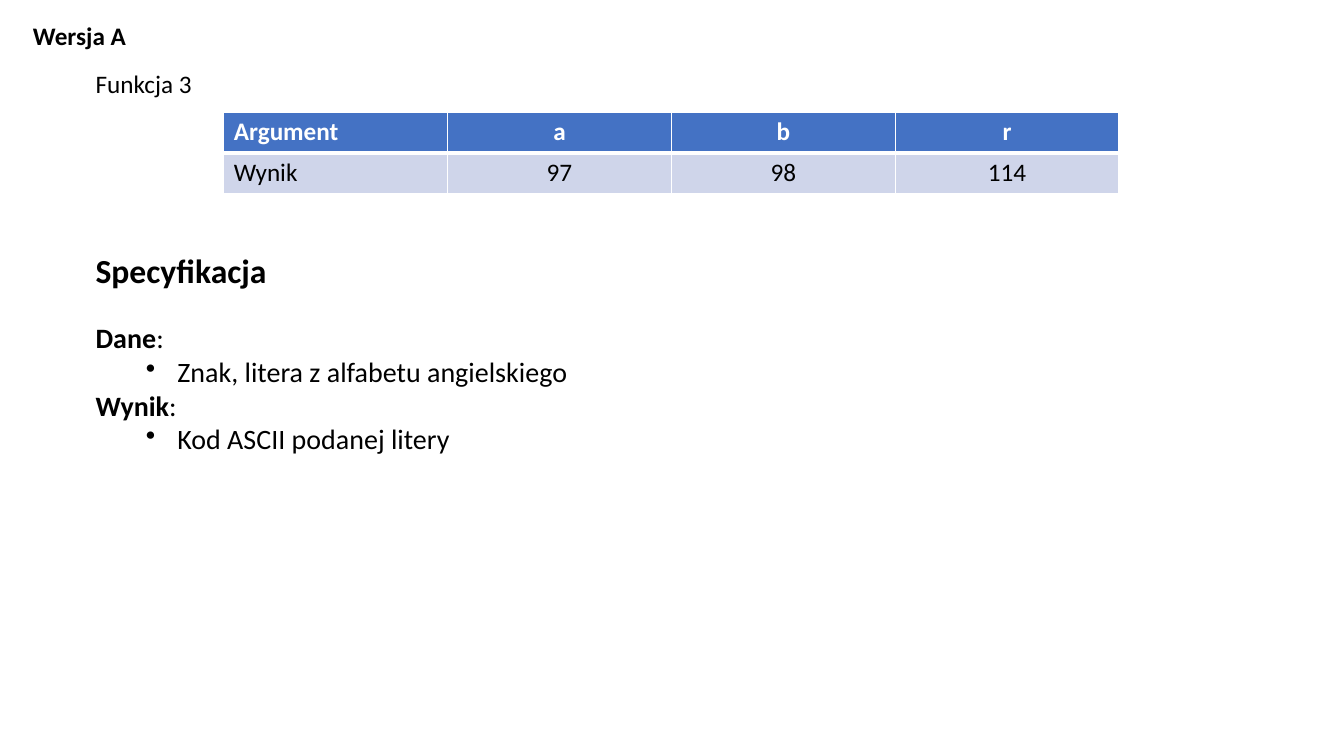
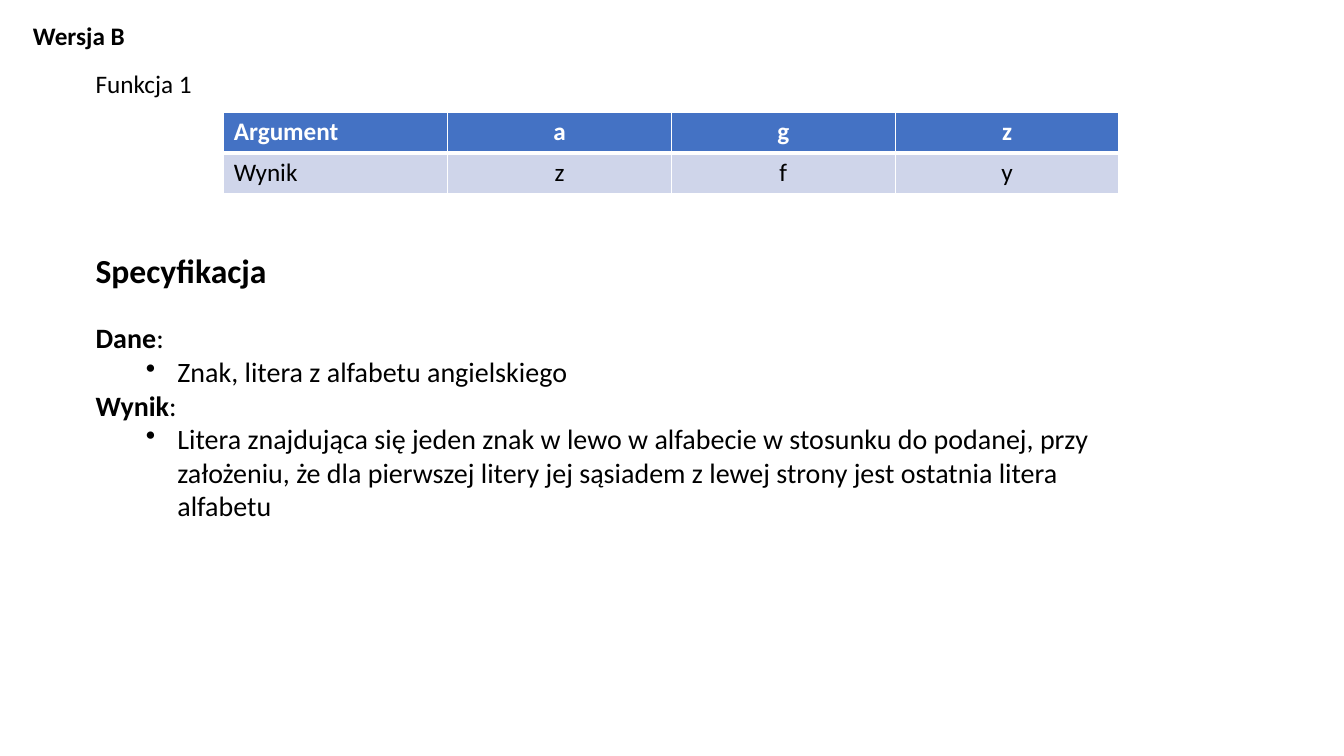
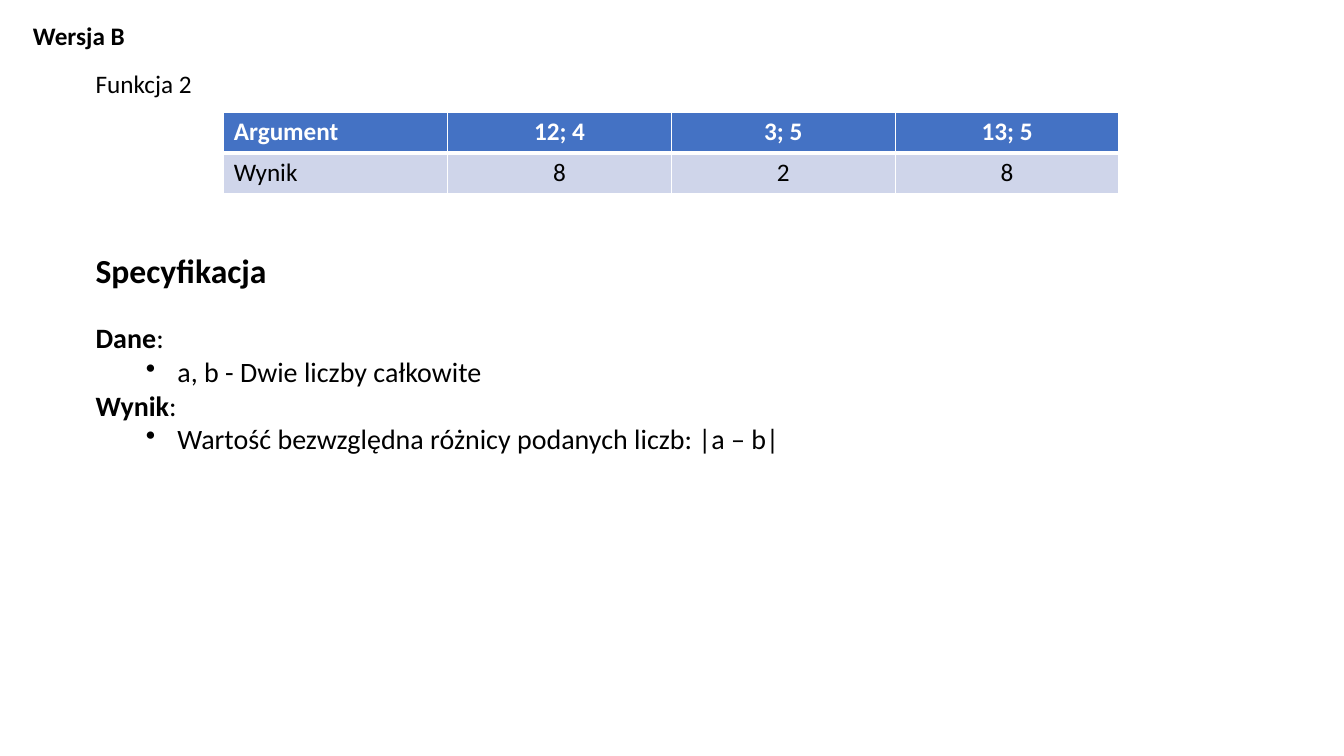
"""Build three slides that specify functions by example results, inputs and outputs."""
from dataclasses import dataclass

from lxml import etree
from pptx import Presentation
from pptx import util as u
from pptx.dml.color import RGBColor
from pptx.enum import text
from pptx.oxml.ns import qn

FONT = "Calibri"
COLORS = {"ink": "000000", "paper": "FFFFFF", "header": "4472C4", "band": "CFD5EA"}
LEFT = 2.16
COL_W = 5.64
ROW_H = 1.03


@dataclass(frozen=True)
class Box:
    left: float
    top: float
    width: float
    height: float

    def emu(self) -> tuple:
        return tuple(u.Cm(v) for v in (self.left, self.top, self.width, self.height))


@dataclass(frozen=True)
class Task:
    version: str
    number: int
    arguments: tuple
    results: tuple
    given: str
    result: str
    height: float = 5.46


TASKS = [
    Task("A", 3, ("a", "b", "r"), ("97", "98", "114"),
         "Znak, litera z alfabetu angielskiego", "Kod ASCII podanej litery"),
    Task("B", 1, ("a", "g", "z"), ("z", "f", "y"),
         "Znak, litera z alfabetu angielskiego",
         "Litera znajdująca się jeden znak w lewo w alfabecie w stosunku do podanej, "
         "przy założeniu, że dla pierwszej litery jej sąsiadem z lewej strony jest "
         "ostatnia litera alfabetu", 7.19),
    Task("B", 2, ("12; 4", "3; 5", "13; 5"), ("8", "2", "8"),
         "a, b - Dwie liczby całkowite",
         "Wartość bezwzględna różnicy podanych liczb: |a – b|"),
]


def write(p, content: str, *, size: float = 18, bold: bool = False, color: str = "ink") -> None:
    r = p.add_run()
    r.text = content
    r.font.name = FONT
    r.font.size = u.Pt(size)
    r.font.bold = bold
    r.font.color.rgb = RGBColor.from_string(COLORS[color])


def add_box(s, box: Box, wrap: bool = True):
    tf = s.shapes.add_textbox(*box.emu()).text_frame
    tf.word_wrap = wrap
    tf.auto_size = text.MSO_AUTO_SIZE.SHAPE_TO_FIT_TEXT
    return tf


def add_bullet(tf, content: str) -> None:
    p = tf.add_paragraph()
    p.level = 1
    pPr = p._p.get_or_add_pPr()
    pPr.set("marL", str(u.Cm(2.06)))
    pPr.set("indent", str(-u.Cm(0.79)))
    etree.SubElement(pPr, qn("a:buChar")).set("char", "•")
    write(p, content, size=20)


def add_borders(cell, top: float, bottom: float) -> None:
    tcPr = cell._tc.get_or_add_tcPr()
    for side, width in (("L", 1), ("R", 1), ("T", top), ("B", bottom)):
        ln = etree.SubElement(tcPr, qn(f"a:ln{side}"), w=str(u.Pt(width)))
        fill = etree.SubElement(ln, qn("a:solidFill"))
        etree.SubElement(fill, qn("a:srgbClr"), val=COLORS["paper"])


def add_examples(s, task: Task) -> None:
    rows = (("Argument", *task.arguments), ("Wynik", *task.results))
    n = len(rows[0])
    box = Box(COL_W, 2.82, COL_W * n, ROW_H * len(rows))
    table = s.shapes.add_table(len(rows), n, *box.emu()).table
    for i, row in enumerate(rows):
        header = i == 0
        for j, value in enumerate(row):
            cell = table.cell(i, j)
            add_borders(cell, *((1, 3) if header else (3, 1)))
            cell.fill.solid()
            cell.fill.fore_color.rgb = RGBColor.from_string(COLORS["header" if header else "band"])
            p = cell.text_frame.paragraphs[0]
            if j:
                p.alignment = text.PP_ALIGN.CENTER
            write(p, value, bold=header, color="paper" if header else "ink")


def add_specification(s, task: Task) -> None:
    tf = add_box(s, Box(LEFT, 6.17, 26.06, task.height))
    write(tf.paragraphs[0], "Specyfikacja", size=24, bold=True)
    for heading, content, gap in (("Dane", task.given, 22), ("Wynik", task.result, 0)):
        p = tf.add_paragraph()
        p.space_before = u.Pt(gap)
        write(p, heading, size=20, bold=True)
        write(p, ":", size=20)
        add_bullet(tf, content)


def add_task(prs, task: Task) -> None:
    s = prs.slides.add_slide(prs.slide_layouts[6])
    name = add_box(s, Box(LEFT, 1.6, 4.5, ROW_H))
    write(name.paragraphs[0], f"Funkcja {task.number}")
    add_examples(s, task)
    version = add_box(s, Box(0.58, 0.38, 2.86, ROW_H), wrap=False)
    write(version.paragraphs[0], f"Wersja {task.version}", bold=True)
    add_specification(s, task)


def main() -> None:
    prs = Presentation()
    prs.slide_width, prs.slide_height = u.Cm(33.87), u.Cm(19.05)
    for task in TASKS:
        add_task(prs, task)
    prs.save("out.pptx")


main()
